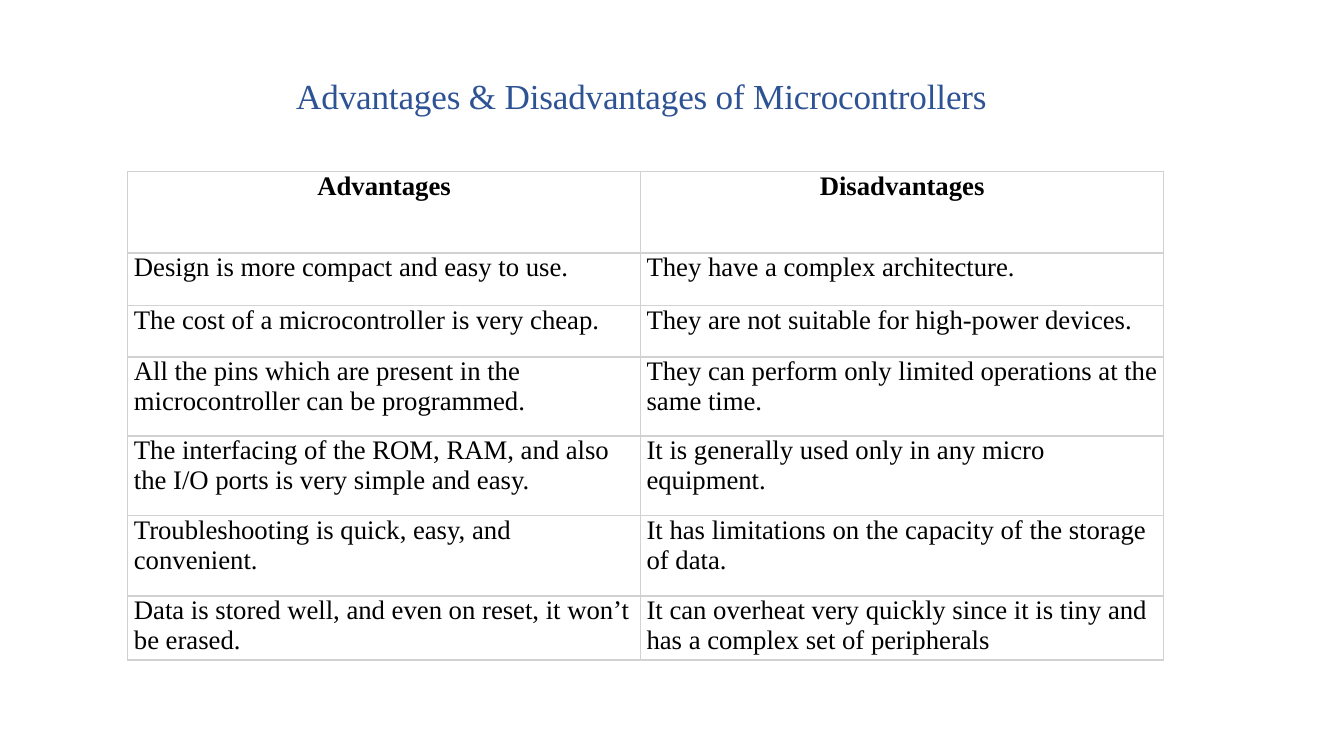
from lxml.etree import SubElement
from pptx import Presentation
from pptx.dml.color import RGBColor
from pptx.enum.text import MSO_ANCHOR as Anchor, MSO_AUTO_SIZE as AutoSize, PP_ALIGN as Align
from pptx.oxml.ns import qn
from pptx.util import Cm, Pt

COLORS = {"title": "2E5395", "text": "000000", "border": "D2D2D2", "page": "FFFFFF"}

HEADINGS = ("Advantages", "Disadvantages")
POINTS = [
    ("Design is more compact and easy to use.",
     "They have a complex architecture."),
    ("The cost of a microcontroller is very cheap.",
     "They are not suitable for high-power devices."),
    ("All the pins which are present in the microcontroller can be programmed.",
     "They can perform only limited operations at the same time."),
    ("The interfacing of the ROM, RAM, and also the I/O ports is very simple and easy.",
     "It is generally used only in any micro equipment."),
    ("Troubleshooting is quick, easy, and convenient.",
     "It has limitations on the capacity of the storage of data."),
    ("Data is stored well, and even on reset, it won’t be erased.",
     "It can overheat very quickly since it is tiny and has a complex set of peripherals"),
]
COLUMN_WIDTHS = (18.95, 19.35)
ROW_HEIGHTS = (3, 1.93, 1.91, 2.92, 2.95, 2.97, 2.36)


class SlideBuilder:
    """Holds the style and the current slide."""

    font_name = "Times New Roman"
    title_size = 36.8
    text_size = 28
    border_width = 1.54
    indent = 0.23

    def __init__(self, page):
        self.page = page
        fill = page.background.fill
        fill.solid()
        fill.fore_color.rgb = RGBColor.from_string(COLORS["page"])

    def text(self, para, words, size, color, align, bold=False):
        span = para.add_run()
        span.text = words
        para.alignment = align
        font = para.font
        font.name, font.size, font.bold = self.font_name, Pt(size), bold
        font.color.rgb = RGBColor.from_string(COLORS[color])
        return span

    def title(self, words, left, top, width, height):
        box = self.page.shapes.title
        box.left, box.top, box.width, box.height = Cm(left), Cm(top), Cm(width), Cm(height)
        frame = box.text_frame
        frame.margin_left = Cm(0.08)
        frame.margin_top = frame.margin_right = frame.margin_bottom = 0
        frame.vertical_anchor = Anchor.TOP
        frame.word_wrap = True
        frame.auto_size = AutoSize.NONE
        span = self.text(frame.paragraphs[0], words, self.title_size, "title", Align.LEFT)
        # Slightly tightened letter spacing
        span.font._element.set("spc", "-20")

    def borders(self, cell):
        properties = cell._tc.get_or_add_tcPr()
        for side in ("lnL", "lnR", "lnT", "lnB"):
            line = SubElement(properties, qn(f"a:{side}"), w=str(int(Pt(self.border_width))))
            fill = SubElement(line, qn("a:solidFill"))
            SubElement(fill, qn("a:srgbClr"), val=COLORS["border"])

    def cell(self, cell, words, heading):
        self.borders(cell)
        cell.fill.background()
        cell.margin_left = 0 if heading else Cm(self.indent)
        cell.margin_top = cell.margin_right = cell.margin_bottom = 0
        cell.vertical_anchor = Anchor.TOP
        align = Align.CENTER if heading else Align.LEFT
        self.text(cell.text_frame.paragraphs[0], words, self.text_size, "text", align, heading)

    def table(self, rows, left, top, widths, heights):
        table = self.page.shapes.add_table(
            len(rows), len(widths), Cm(left), Cm(top), Cm(sum(widths)), Cm(sum(heights))
        ).table
        table.first_row = table.horz_banding = False
        for column, width in zip(table.columns, widths):
            column.width = Cm(width)
        for row, height, texts in zip(table.rows, heights, rows):
            row.height = Cm(height)
            for cell, words in zip(row.cells, texts):
                self.cell(cell, words, heading=texts is rows[0])


def main():
    deck = Presentation()
    deck.slide_width, deck.slide_height = Cm(49.68), Cm(27.94)
    title_only = deck.slide_layouts[5]
    builder = SlideBuilder(deck.slides.add_slide(title_only))

    # Title
    builder.title("Advantages & Disadvantages of Microcontrollers", 10.87, 2.74, 25.96, 1.57)

    # Comparison table
    builder.table([HEADINGS, *POINTS], 4.72, 6.35, COLUMN_WIDTHS, ROW_HEIGHTS)

    deck.save("out.pptx")


if __name__ == "__main__":
    main()
